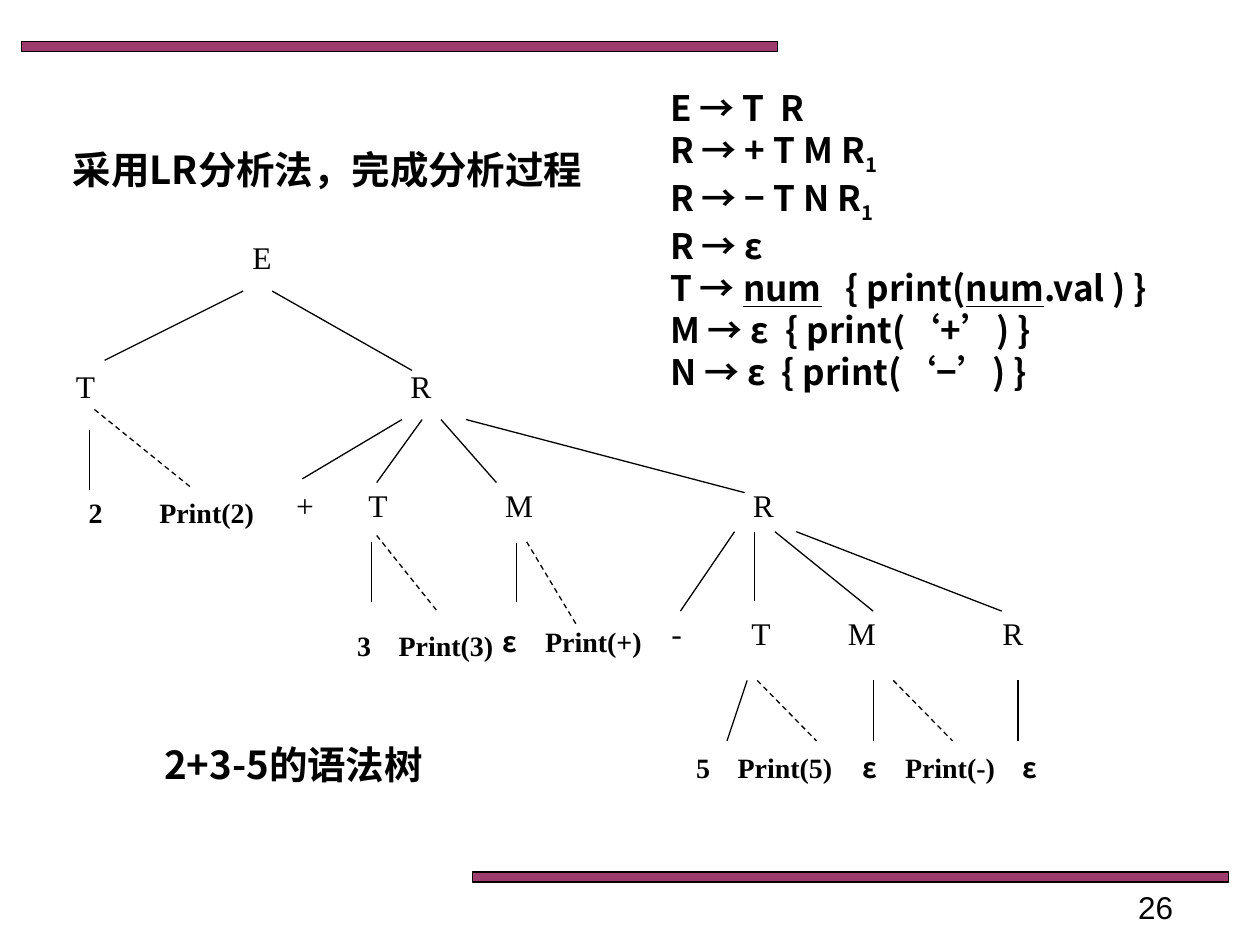
from lxml import etree
from pptx import Presentation
from pptx.dml.color import RGBColor
from pptx.enum.dml import MSO_LINE
from pptx.enum.shapes import MSO_CONNECTOR, MSO_SHAPE
from pptx.enum.text import MSO_ANCHOR, PP_ALIGN
from pptx.oxml.ns import qn
from pptx.util import Inches, Pt

LEFT, CENTER, RIGHT = PP_ALIGN.LEFT, PP_ALIGN.CENTER, PP_ALIGN.RIGHT
MIDDLE = MSO_ANCHOR.MIDDLE
STRAIGHT, RECTANGLE = MSO_CONNECTOR.STRAIGHT, MSO_SHAPE.RECTANGLE
DASH = MSO_LINE.DASH
SANS, SERIF, NUMBER_FONT = "Noto Sans CJK SC", "Times New Roman", "Arial"
BLACK, PLUM = "000000", "993366"

# Grammar rules as (text, style) spans
GRAMMAR = [
    [("E → T  R", "")],
    [("R → + T M R", ""), ("1", "sub")],
    [("R → − T N R", ""), ("1", "sub")],
    [("R → ε", "")],
    [("T → ", ""), ("num", "under"), ("   { print(", ""),
     ("num", "under"), (".val ) }", "")],
    [("M → ε  { print(‘+’) }", "")],
    [("N → ε  { print(‘−’) }", "")],
]

# Tree labels by row: centre height, then (text, centre x)
SYMBOL_ROWS = [
    (2.04, [("E", 2.08)]),
    (3.06, [("T", 0.68), ("R", 3.34)]),
    (4.01, [("+", 2.42), ("T", 3.0), ("M", 4.12), ("R", 6.06)]),
    (5.02, [("-", 5.37), ("T", 6.04), ("M", 6.84), ("R", 8.04)]),
]
LEAF_ROWS = [
    (4.07, [("2", 0.76), ("Print(2)", 1.64)]),
    (5.12, [("3", 2.89), ("Print(3)", 3.54)]),
    (5.09, [("ε", 4.05), ("Print(+)", 4.71)]),
    (6.09, [("5", 5.58), ("Print(5)", 6.23), ("ε", 6.9),
            ("Print(-)", 7.54), ("ε", 8.17)]),
]

# Tree branches: x1, y1, x2, y2
BRANCHES = [
    (1.93, 2.31, 0.83, 2.86), (2.16, 2.31, 3.27, 2.94),
    (3.19, 3.33, 2.4, 3.8), (3.35, 3.33, 2.99, 3.83),
    (3.5, 3.33, 3.94, 3.83), (3.7, 3.33, 5.91, 3.91),
    (5.83, 4.22, 5.4, 4.85), (5.99, 4.22, 5.99, 4.77),
    (6.15, 4.22, 6.93, 4.85), (6.32, 4.22, 7.95, 4.85),
    (0.71, 3.41, 0.71, 3.89), (2.95, 4.3, 2.95, 4.78),
    (4.1, 4.31, 4.1, 4.78), (5.93, 5.4, 5.77, 5.88),
    (6.93, 5.4, 6.93, 5.88), (8.08, 5.4, 8.08, 5.88),
]
ACTION_BRANCHES = [
    (0.75, 3.25, 1.53, 3.88), (2.99, 4.25, 3.47, 4.85),
    (4.18, 4.3, 4.57, 4.95), (6.01, 5.4, 6.48, 5.88),
    (7.09, 5.4, 7.56, 5.88),
]


def color(hex_text):
    return RGBColor.from_string(hex_text)


def add_text(page, left, top, width, height, lines, size, font,
             bold=False, align=LEFT):
    box = page.shapes.add_textbox(Inches(left), Inches(top),
                                  Inches(width), Inches(height))
    frame = box.text_frame
    frame.word_wrap = True
    frame.vertical_anchor = MIDDLE
    for index, spans in enumerate(lines):
        para = frame.paragraphs[0] if index == 0 else frame.add_paragraph()
        para.alignment = align
        para.font.size = Pt(size)
        para.font.name = font
        para.font.bold = bold
        para.font.color.rgb = color(BLACK)
        for text, style in spans:
            span = para.add_run()
            span.text = text
            if style == "under":
                span.font.underline = True
            if style == "sub":
                span.font._element.set("baseline", "-25000")
            if font == SANS:
                east_asian = etree.SubElement(span.font._element, qn("a:ea"))
                east_asian.set("typeface", SANS)


def add_bar(page, left, top):
    bar = page.shapes.add_shape(RECTANGLE, Inches(left), Inches(top),
                                Inches(6), Inches(0.08))
    bar.shadow.inherit = False
    bar.fill.solid()
    bar.fill.fore_color.rgb = color(PLUM)
    tint = bar.fill._xPr.find(".//" + qn("a:srgbClr"))
    etree.SubElement(tint, qn("a:alpha")).set("val", "96000")
    bar.line.color.rgb = color(BLACK)
    bar.line.width = Pt(0.75)


def add_branch(page, left, top, ends, dashed=False):
    x1, y1, x2, y2 = ends
    branch = page.shapes.add_connector(
        STRAIGHT, Inches(left + x1), Inches(top + y1),
        Inches(left + x2), Inches(top + y2))
    branch.line.color.rgb = color(BLACK)
    branch.line.width = Pt(0.75)
    if dashed:
        branch.line.dash_style = DASH
    etree.SubElement(branch._element.spPr, qn("a:effectLst"))


def add_tree(page, left, top):
    for ends in BRANCHES:
        add_branch(page, left, top, ends)
    for ends in ACTION_BRANCHES:
        add_branch(page, left, top, ends, dashed=True)
    for rows, size, bold in ((SYMBOL_ROWS, 18, False), (LEAF_ROWS, 16, True)):
        for middle, labels in rows:
            for text, center in labels:
                width = 1.1 if len(text) > 1 else 0.5
                font = SANS if text == "ε" else SERIF
                add_text(page, left + center - width / 2, top + middle - 0.2,
                         width, 0.4, [[(text, "")]], size, font, bold, CENTER)


def add_frame(page, left, top):
    add_bar(page, left + 0.17, top + 0.33)
    add_bar(page, left + 3.75, top + 6.92)
    add_text(page, left + 7.08, top + 7, 2.33, 0.4, [[("26", "")]],
             18, NUMBER_FONT, align=RIGHT)


deck = Presentation()
deck.slide_width, deck.slide_height = Inches(10), Inches(7.5)
page = deck.slides.add_slide(deck.slide_layouts[6])

add_frame(page, 0, 0)
# Heading, grammar and tree caption
add_text(page, 0.2, 1.11, 4.8, 0.47, [[("采用LR分析法，完成分析过程", "")]],
         22, SANS, True, CENTER)
add_text(page, 5.22, 0.67, 4.43, 2.46, GRAMMAR, 20, SANS, True)
add_text(page, 0.73, 5.83, 3.2, 0.47, [[("2+3-5的语法树", "")]],
         22, SANS, True, CENTER)
add_tree(page, 0, 0)

deck.save("out.pptx")
